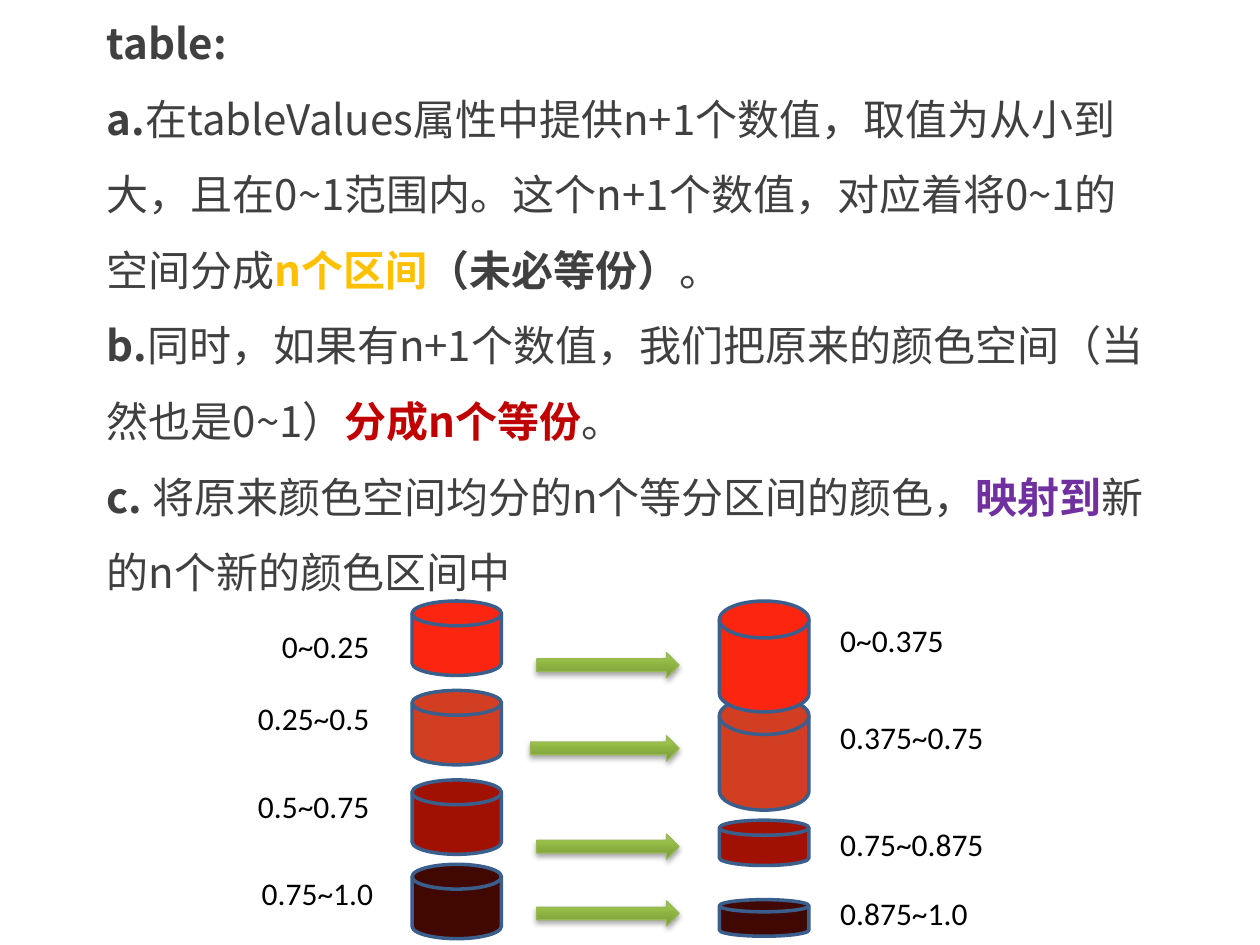
from copy import deepcopy
from lxml.etree import SubElement
from pptx import Presentation
from pptx.dml.color import RGBColor
from pptx.enum.shapes import MSO_SHAPE
from pptx.enum.text import MSO_AUTO_SIZE, PP_ALIGN
from pptx.oxml.ns import qn
from pptx.util import Pt

SCALE = 9144
CJK = "Noto Sans CJK SC"
GRAY = "404040"
NOTES = [
    [("table:", GRAY, True)],
    [("a.", GRAY, True),
     ("在tableValues属性中提供n+1个数值，取值为从小到大，且在0~1范围内。这个n+1个数值，对应着将0~1的空间分成", GRAY, False),
     ("n个区间", "FFC000", True), ("（未必等份）", GRAY, True), ("。", GRAY, False)],
    [("b.", GRAY, True),
     ("同时，如果有n+1个数值，我们把原来的颜色空间（当然也是0~1）", GRAY, False),
     ("分成n个等份", "C00000", True), ("。", GRAY, False)],
    [("c. ", GRAY, True),
     ("将原来颜色空间均分的n个等分区间的颜色，", GRAY, False),
     ("映射到", "7030A0", True), ("新的n个新的颜色区间中", GRAY, False)],
]
BANDS = [
    {"color": "FC2610", "old": 477, "new": (477, 88), "arrow": (426, 518),
     "left": ("0~0.25", 193, 493), "right": ("0~0.375", 488, 110)},
    {"color": "D13E21", "old": 548, "new": (553, 90), "arrow": (421, 584),
     "left": ("0.25~0.5", 193, 550), "right": ("0.375~0.75", 565, 189)},
    {"color": "A01102", "old": 619, "new": (651, 36), "arrow": (426, 662),
     "left": ("0.5~0.75", 193, 620), "right": ("0.75~0.875", 650, 142)},
    {"color": "410701", "old": 686, "new": (714, 29), "arrow": (426, 715),
     "left": ("0.75~1.0", 196, 689), "right": ("0.875~1.0", 705, 142)},
]
STOPS = [(0, "779737"), (0.8, "9BC348"), (1, "9DC746")]
OLD_X, NEW_X, DISK_W, DISK_H = 327, 571, 71, 59
TIP_X, ARROW_H, LABEL_X, LABEL_H = 539, 20, 657, 40


def px(*nums):
    return [n * SCALE for n in nums]


def rgb(code):
    return RGBColor.from_string(code)


def add_text(box, paras, face, size, fmt):
    frame = slide.shapes.add_textbox(*px(*box)).text_frame
    frame.word_wrap = True
    frame.auto_size = MSO_AUTO_SIZE.SHAPE_TO_FIT_TEXT
    for i, runs in enumerate(paras):
        para = frame.add_paragraph() if i else frame.paragraphs[0]
        for key, val in fmt.items():
            setattr(para, key, val)
        for text, color, bold in runs:
            run = para.add_run()
            run.text = text
            for key, val in {"name": face, "size": Pt(size), "bold": bold}.items():
                setattr(run.font, key, val)
            run.font.color.rgb = rgb(color)
            SubElement(run.font._element, qn("a:ea"), typeface=face)


def add_form(kind, box, edge, width):
    form = slide.shapes.add_shape(kind, *px(*box))
    form.shadow.inherit = False
    form.line.color.rgb = rgb(edge)
    form.line.width = Pt(width)
    return form


def add_disk(x, y, high, color):
    disk = add_form(MSO_SHAPE.FLOWCHART_MAGNETIC_DISK, (x, y, DISK_W, high), "3A5F8C", 2)
    disk.fill.solid()
    disk.fill.fore_color.rgb = rgb(color)


def add_arrow(x, y):
    arrow = add_form(MSO_SHAPE.RIGHT_ARROW, (x, y, TIP_X - x, ARROW_H), "98B955", 0.75)
    arrow.fill.gradient()
    arrow.fill.gradient_angle = 90
    props = arrow._element.spPr
    stops = props.find(".//" + qn("a:gsLst"))
    stops.append(deepcopy(stops[0]))
    for stop, (place, color) in zip(arrow.fill.gradient_stops, STOPS):
        stop.position = place
        stop.color.rgb = rgb(color)
    shade = SubElement(props.find(qn("a:effectLst")), qn("a:outerShdw"),
                       blurRad="40000", dist="23000", dir="5400000", rotWithShape="0")
    tone = SubElement(shade, qn("a:srgbClr"), val="000000")
    SubElement(tone, qn("a:alpha"), val="35000")


def add_label(text, x, y, wide, align):
    add_text((x, y, wide, LABEL_H), [[(text, "000000", False)]],
             "Calibri", 18, {"alignment": align})


deck = Presentation()
deck.slide_width, deck.slide_height = px(1000, 750)
slide = deck.slides.add_slide(deck.slide_layouts[6])
add_text((75, -11, 850, 495), NOTES, CJK, 24, {"line_spacing": 1.5})
for band in reversed(BANDS):
    add_disk(OLD_X, band["old"], DISK_H, band["color"])
    add_disk(NEW_X, *band["new"], band["color"])
for band in BANDS:
    add_arrow(*band["arrow"])
    add_label(*band["left"], 110, PP_ALIGN.RIGHT)
    text, y, wide = band["right"]
    add_label(text, LABEL_X, y, wide, PP_ALIGN.LEFT)
deck.save("out.pptx")
